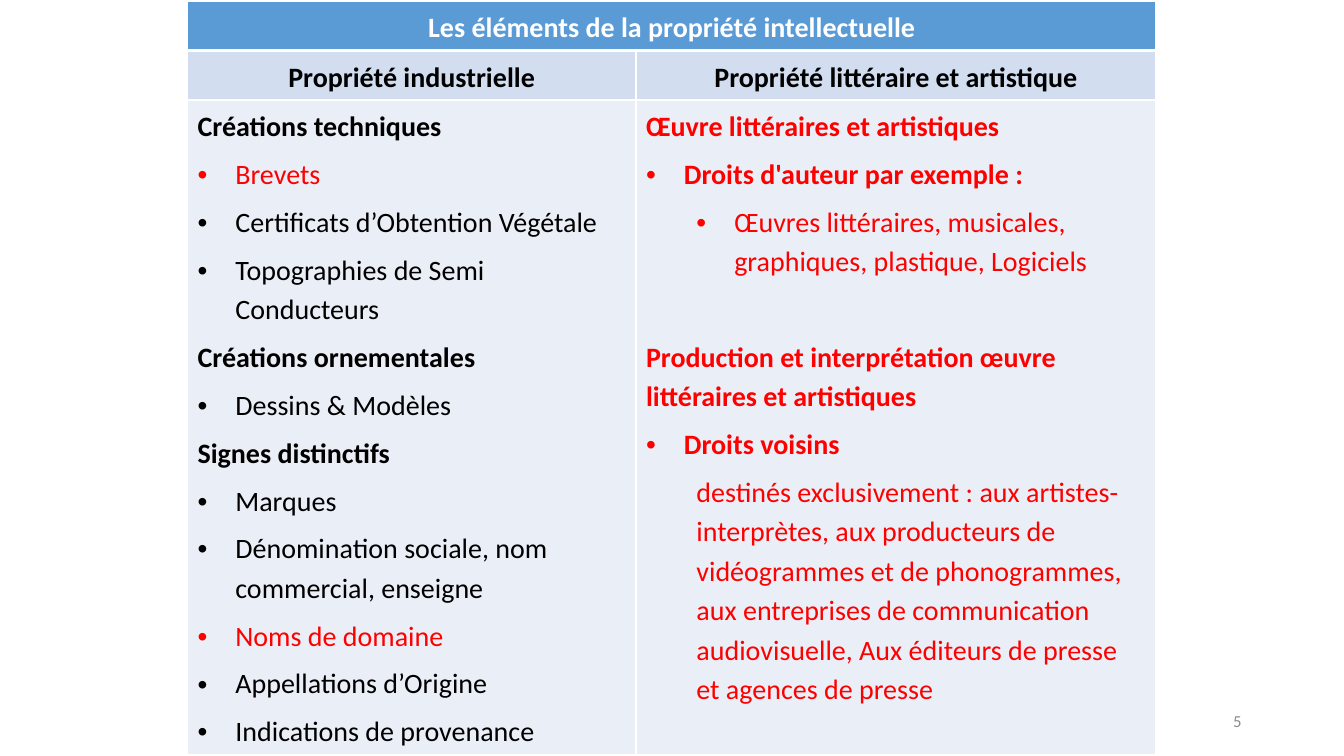
from lxml.etree import SubElement
from pptx import Presentation
from pptx.dml.color import RGBColor
from pptx.enum.text import MSO_ANCHOR, PP_ALIGN
from pptx.oxml.ns import qn
from pptx.util import Pt

WHITE, BLACK, RED, GREY = "FFFFFF", "000000", "FF0000", "8C8C8C"
BLUE, PALE, LIGHT = "5B9BD5", "D2DEEF", "EAEFF7"

# Paragraph: text, kind, colour
TITLE = [("Les éléments de la propriété intellectuelle", "title", WHITE)]
HEADS = [
    [("Propriété industrielle", "title", BLACK)],
    [("Propriété littéraire et artistique", "title", BLACK)],
]
INDUSTRY = [
    ("Créations techniques", "head", BLACK),
    ("Brevets", "item", RED),
    ("Certificats d’Obtention Végétale", "item", BLACK),
    ("Topographies de Semi Conducteurs", "item", BLACK),
    ("Créations ornementales", "head", BLACK),
    ("Dessins & Modèles", "item", BLACK),
    ("Signes distinctifs", "head", BLACK),
    ("Marques", "item", BLACK),
    ("Dénomination sociale, nom commercial, enseigne", "item", BLACK),
    ("Noms de domaine", "item", RED),
    ("Appellations d’Origine", "item", BLACK),
    ("Indications de provenance", "item", BLACK),
]
ARTS = [
    ("Œuvre littéraires et artistiques", "head", RED),
    ("Droits d'auteur par exemple :", "bold item", RED),
    ("Œuvres littéraires, musicales, graphiques, plastique, Logiciels", "sub", RED),
    ("Production et interprétation œuvre littéraires et artistiques", "part", RED),
    ("Droits voisins", "bold item", RED),
    ("destinés exclusivement : aux artistes-interprètes, aux producteurs de "
     "vidéogrammes et de phonogrammes, aux entreprises de communication "
     "audiovisuelle, Aux éditeurs de presse et agences de presse", "note", RED),
]
ROWS = [(BLUE, [TITLE, []]), (PALE, HEADS), (LIGHT, [INDUSTRY, ARTS])]

# Kind: bold, level, left margin, first-line indent, space before, alignment
KINDS = {
    "title": (True, 0, 0, 0, 0, PP_ALIGN.CENTER),
    "head": (True, 0, 0, 0, 0, PP_ALIGN.LEFT),
    "part": (True, 0, 0, 0, 34, PP_ALIGN.LEFT),
    "item": (False, 0, 27, -27, 0, PP_ALIGN.LEFT),
    "bold item": (True, 0, 27, -27, 0, PP_ALIGN.LEFT),
    "sub": (False, 1, 63, -27, 0, PP_ALIGN.LEFT),
    "note": (False, 1, 36, 0, 0, PP_ALIGN.LEFT),
}
WIDTHS = [320.4, 371.5]
HEIGHTS = [33, 32.5, 445]
PLACE = (133.9, 0.7)


def color(code):
    return RGBColor.from_string(code)


def put(target, values):
    """Set each named attribute of the target."""
    for name, value in values.items():
        setattr(target, name, value)


def write(para, text, size, code, bold=False):
    run = para.add_run()
    run.text = text
    put(run.font, {"name": "Calibri", "size": Pt(size), "bold": bold})
    run.font.color.rgb = color(code)


def fill_text(frame, items):
    for i, (text, kind, code) in enumerate(items):
        bold, level, left, indent, before, align = KINDS[kind]
        para = frame.add_paragraph() if i else frame.paragraphs[0]
        put(para, {"alignment": align, "level": level, "line_spacing": 1.15,
                   "space_before": Pt(before), "space_after": Pt(6)})
        props = para._p.get_or_add_pPr()
        props.set("marL", str(Pt(left)))
        props.set("indent", str(Pt(indent)))
        if indent:
            SubElement(props, qn("a:buFont"), typeface="Arial")
            SubElement(props, qn("a:buChar"), char="•")
        else:
            SubElement(props, qn("a:buNone"))
        write(para, text, 20, code, bold)


def border(cell, base):
    """Draw white cell edges; base is the width of the bottom one."""
    props = cell._tc.get_or_add_tcPr()
    for side, width in zip("LRTB", (1, 1, 1, base)):
        line = SubElement(props, qn("a:ln" + side), w=str(Pt(width)))
        paint = SubElement(line, qn("a:solidFill"))
        SubElement(paint, qn("a:srgbClr"), val=WHITE)


deck = Presentation()
put(deck, {"slide_width": Pt(960), "slide_height": Pt(540)})
slide = deck.slides.add_slide(deck.slide_layouts[6])

frame = slide.shapes.add_table(
    len(ROWS), len(WIDTHS), *map(Pt, PLACE), Pt(sum(WIDTHS)), Pt(sum(HEIGHTS)))
table = frame.table
table.horz_banding = False
for col, width in zip(table.columns, WIDTHS):
    col.width = Pt(width)
for row, height in zip(table.rows, HEIGHTS):
    row.height = Pt(height)
table.cell(0, 0).merge(table.cell(0, 1))

for r, (shade, cells) in enumerate(ROWS):
    for c, items in enumerate(cells):
        cell = table.cell(r, c)
        border(cell, 1 if r else 3)
        cell.fill.solid()
        cell.fill.fore_color.rgb = color(shade)
        fill_text(cell.text_frame, items)

page = slide.shapes.add_textbox(Pt(678), Pt(500.5), Pt(216), Pt(28.8)).text_frame
put(page, {"word_wrap": True, "vertical_anchor": MSO_ANCHOR.MIDDLE})
page.paragraphs[0].alignment = PP_ALIGN.RIGHT
write(page.paragraphs[0], "5", 12, GREY)

deck.save("out.pptx")
